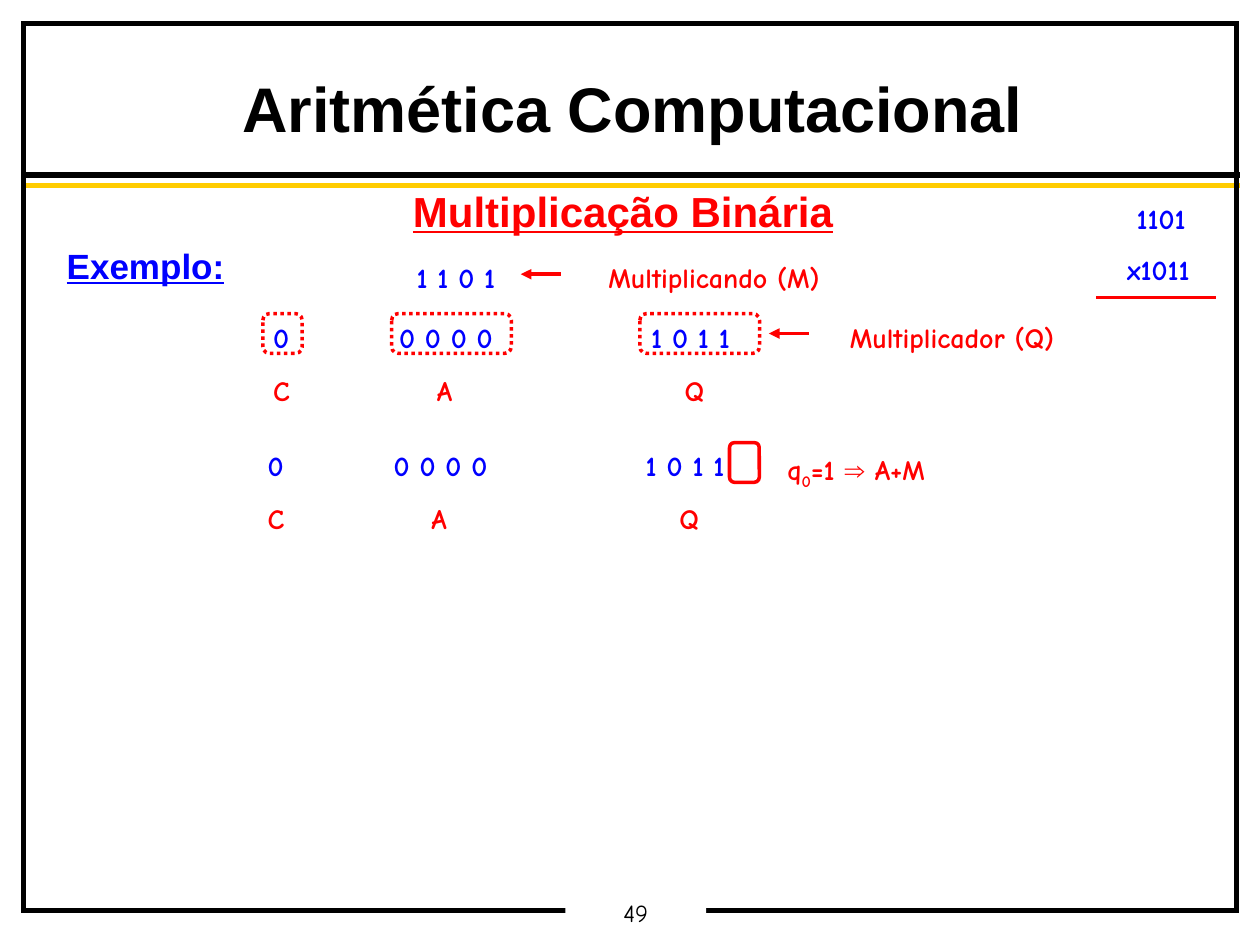
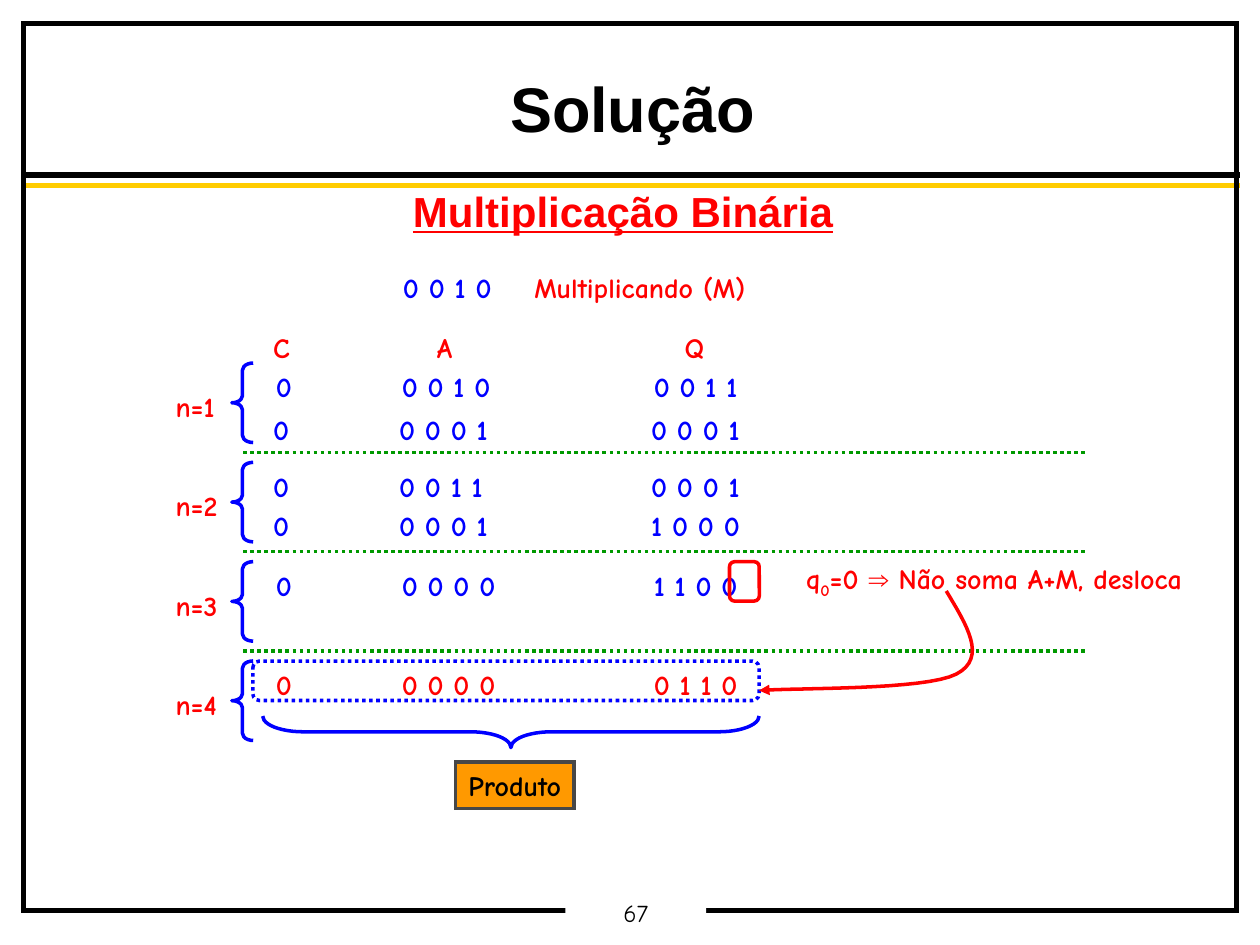
from lxml import etree
from pptx import Presentation
from pptx import util as u
from pptx.dml.color import RGBColor
from pptx.enum import dml, shapes, text
from pptx.oxml.ns import qn

COLORS = {"ink": "000000", "gold": "FFCC00", "red": "FF0000", "blue": "0000FF",
          "green": "009900", "orange": "FF9900", "gray": "474747", "paper": "FFFFFF"}
HAND, SANS = "Comic Neue", "Arial"
LABEL = {"name": HAND, "size": u.Pt(16), "bold": True}
STEP_PITCH = 56.75
REGISTER_NAMES = (("C", 0, 24), ("A", 93.6, 23), ("Q", 235.2, 25))


def rgb(color):
    return RGBColor.from_string(COLORS[color])


def apply(target, values):
    for name, value in values.items():
        setattr(target, name, value)


def place(box, left, top, width, height):
    apply(box, {"left": u.Pt(left), "top": u.Pt(top),
                "width": u.Pt(width), "height": u.Pt(height)})


def add_span(para, words, color, style):
    span = para.add_run()
    span.text = words
    apply(span.font, style)
    span.font.color.rgb = rgb(color)
    return span


def style_line(item, color, width=2, dotted=False, arrow=False, sharp=False):
    item.line.color.rgb = rgb(color)
    item.line.width = u.Pt(width)
    if dotted:
        item.line.dash_style = dml.MSO_LINE.ROUND_DOT
    if sharp:
        etree.SubElement(item.line._get_or_add_ln(), qn("a:miter"), lim="800000")
    if arrow:
        etree.SubElement(item.line._get_or_add_ln(), qn("a:tailEnd"), type="triangle")


def add_line(page, start, end, color, **line):
    points = [u.Pt(value) for value in (*start, *end)]
    connector = page.shapes.add_connector(shapes.MSO_CONNECTOR.STRAIGHT, *points)
    style_line(connector, color, **line)
    etree.SubElement(connector._element.spPr, qn("a:effectLst"))


def add_outline(page, kind, bounds, color=None, fill=None, adjust=None, **line):
    shape = page.shapes.add_shape(kind, *[u.Pt(value) for value in bounds])
    shape.shadow.inherit = False
    if fill:
        shape.fill.solid()
        shape.fill.fore_color.rgb = rgb(fill)
    else:
        shape.fill.background()
    if color:
        style_line(shape, color, **line)
    else:
        shape.line.fill.background()
    if adjust is not None:
        shape.adjustments[0] = adjust
    return shape


def add_rounded(page, bounds, color, dotted=False):
    add_outline(page, shapes.MSO_SHAPE.ROUNDED_RECTANGLE, bounds, color,
                adjust=0.167, dotted=dotted)


def add_box(page, left, top, width, height=26.6):
    box = page.shapes.add_textbox(u.Pt(left), u.Pt(top), u.Pt(width), u.Pt(height))
    apply(box.text_frame, {"word_wrap": True, "auto_size": text.MSO_AUTO_SIZE.NONE})
    return box.text_frame


def add_label(page, left, top, width, words, color="red"):
    """Write one line, with a little spare width to keep it whole."""
    para = add_box(page, left, top, width + 8).paragraphs[0]
    add_span(para, words, color, LABEL)
    return para


def add_register_row(page, left, top, c, a, q, color="blue"):
    """Write the C, A and Q values on tab stops one inch apart."""
    para = add_label(page, left, top, 292, f"{c}\t{a}\t\t{q}", color)
    stops = etree.SubElement(para._p.get_or_add_pPr(), qn("a:tabLst"))
    for inch in range(1, 4):
        etree.SubElement(stops, qn("a:tab"), pos=str(u.Pt(72 * inch)), algn="l")


def add_register_names(page, left, top):
    for name, offset, width in REGISTER_NAMES:
        add_label(page, left + offset, top, width, name)


def add_condition(page, left, top, width, q0, action):
    para = add_box(page, left, top, width + 8, 29.5).paragraphs[0]
    add_span(para, "q", "red", LABEL)
    subscript = add_span(para, "0", "red", LABEL)
    subscript._r.get_or_add_rPr().set("baseline", "-25000")
    add_span(para, f"={q0} ", "red", LABEL)
    add_span(para, "⇒", "red", LABEL | {"name": SANS})
    add_span(para, f" {action}", "red", LABEL)


def bezier(p0, p1, p2, p3, steps=16):
    """Return the points after p0 along a cubic curve."""
    points = []
    for step in range(1, steps + 1):
        t = step / steps
        weights = ((1 - t) ** 3, 3 * t * (1 - t) ** 2, 3 * t * t * (1 - t), t ** 3)
        points.append(tuple(sum(w * p[axis] for w, p in zip(weights, (p0, p1, p2, p3)))
                            for axis in (0, 1)))
    return points


def add_curved_arrow(page, nodes, color):
    points = [nodes[0]]
    for first in range(0, len(nodes) - 1, 3):
        points += bezier(*nodes[first:first + 4])
    points = [(u.Pt(x), u.Pt(y)) for x, y in points]
    builder = page.shapes.build_freeform(*points[0])
    builder.add_line_segments(points[1:], close=False)
    curve = builder.convert_to_shape()
    curve.shadow.inherit = False
    curve.fill.background()
    style_line(curve, color, arrow=True)


def add_brace(page, bounds, adjust, rotation=0):
    brace = add_outline(page, shapes.MSO_SHAPE.LEFT_BRACE, bounds, "blue", adjust=adjust)
    brace.rotation = rotation


def add_frame(page, number):
    """Draw the rules, the border and the page number."""
    add_line(page, (14.4, 100), (708.5, 100), "ink", width=3)
    add_line(page, (14.4, 105.8), (708.5, 105.8), "gold", width=3)
    add_outline(page, shapes.MSO_SHAPE.RECTANGLE, (13.5, 13.5, 693.2, 506.8), "ink",
                width=3, sharp=True)
    badge = add_outline(page, shapes.MSO_SHAPE.RECTANGLE, (323, 513, 80.6, 19.5), fill="paper")
    apply(badge.text_frame, {"margin_top": u.Pt(2), "margin_bottom": u.Pt(2),
                             "word_wrap": False})
    para = badge.text_frame.paragraphs[0]
    apply(para, {"alignment": text.PP_ALIGN.CENTER, "line_spacing": 0.9})
    add_span(para, str(number), "ink", {"name": HAND, "size": u.Pt(14)})


def add_heading(page, example=None):
    frame = add_box(page, 31, 105.8, 650, 369)
    style = {"name": SANS, "size": u.Pt(24), "bold": True, "underline": True}
    para = frame.paragraphs[0]
    apply(para, {"alignment": text.PP_ALIGN.CENTER, "line_spacing": 0.9})
    add_span(para, "Multiplicação Binária", "red", style)
    if example:
        para = frame.add_paragraph()
        apply(para, {"line_spacing": 0.9, "space_before": u.Pt(7)})
        add_span(para, example, "blue", style | {"size": u.Pt(20)})


def new_page(deck, title, number, example=None):
    page = deck.slides.add_slide(deck.slide_layouts[5])
    place(page.shapes.title, 14.2, 41, 694.6, 45.4)
    frame = page.shapes.title.text_frame
    apply(frame, {"margin_top": u.Pt(2), "margin_bottom": u.Pt(2), "word_wrap": True,
                  "auto_size": text.MSO_AUTO_SIZE.NONE,
                  "vertical_anchor": text.MSO_ANCHOR.TOP})
    para = frame.paragraphs[0]
    apply(para, {"alignment": text.PP_ALIGN.CENTER, "line_spacing": 0.95})
    add_span(para, title, "ink", {"name": SANS, "size": u.Pt(36), "bold": True})
    add_frame(page, number)
    add_heading(page, example)
    return page


def add_written_product(page):
    """Write the multiplication by hand in the corner."""
    frame = add_box(page, 637, 111.6, 58, 55.4)
    first, second = frame.paragraphs[0], frame.add_paragraph()
    first._p.get_or_add_pPr().set("marL", str(u.Pt(5.5)))
    second.space_before = u.Pt(10)
    add_span(first, "1101", "blue", LABEL)
    add_span(second, "x1011", "blue", LABEL)
    add_line(page, (626.5, 170), (695, 170), "red")


def build_example(deck):
    page = new_page(deck, "Aritmética Computacional", 49, "Exemplo:")
    add_written_product(page)
    add_label(page, 231, 145.5, 59, "1 1 0 1", "blue")
    add_label(page, 340.6, 145.5, 134.6, "Multiplicando (M)")
    add_label(page, 478.6, 179.6, 131, "Multiplicador (Q)")
    for left, y in ((297.6, 156.7), (439.4, 190.6)):
        add_line(page, (left + 22.7, y), (left, y), "red", arrow=True)
    for left, top, names_top in ((149, 179.6, 209.8), (145.9, 253, 283.3)):
        add_register_row(page, left, top, "0", "0 0 0 0", "1 0 1 1")
        add_register_names(page, left, names_top)
    for left, width in ((150.2, 22.5), (223.8, 68.4), (365.6, 68.4)):
        add_rounded(page, (left, 179.2, width, 22.7), "red", dotted=True)
    add_rounded(page, (416.9, 252.9, 17, 22.7), "red")
    add_condition(page, 442.8, 254.9, 94.3, 1, "A+M")


def build_solution(deck):
    page = new_page(deck, "Solução", 67)
    add_label(page, 223.2, 151.2, 64.8, "0 0 1 0", "blue")
    add_label(page, 298.2, 151.2, 134.6, "Multiplicando (M)")
    add_register_names(page, 149, 185.3)
    rows = ((150.5, 207.6, "0 0 1 0", "0 0 1 1", "blue"),
            (149, 232.2, "0 0 0 1", "0 0 0 1", "blue"),
            (149, 264.5, "0 0 1 1", "0 0 0 1", "blue"),
            (149, 287, "0 0 0 1", "1 0 0 0", "blue"),
            (150.5, 321.3, "0 0 0 0", "1 1 0 0", "blue"),
            (150.5, 378, "0 0 0 0", "0 1 1 0", "red"))
    for left, top, a, q, color in rows:
        add_register_row(page, left, top, "0", a, q, color)
    for step in range(4):
        top = 207.5 + step * STEP_PITCH
        add_label(page, 93.2, top + 11.5, 38, f"n={step + 1}")
        add_brace(page, (132.5, top, 12.2, 45.4), 0.33)
        if step < 3:
            add_line(page, (139, top + 51), (620.6, top + 51), "green", dotted=True)
    add_rounded(page, (416.9, 321, 17, 22.5), "red")
    add_condition(page, 453.6, 317.5, 230.4, 0, "Não soma A+M, desloca")
    add_rounded(page, (144.5, 377.8, 289.3, 22.5), "blue", dotted=True)
    add_curved_arrow(page, ((540.7, 337.7), (552.2, 357), (564.5, 375.8), (546.5, 385.2),
                            (528.5, 394.6), (453, 393), (433.7, 394.6)), "red")
    add_brace(page, (283, 276.3, 18, 283.7), 1.28, rotation=270)
    product = add_outline(page, shapes.MSO_SHAPE.RECTANGLE, (260.3, 435.5, 67.7, 26.6),
                          "gray", fill="orange", sharp=True)
    product.text_frame.word_wrap = False
    para = product.text_frame.paragraphs[0]
    para.alignment = text.PP_ALIGN.CENTER
    add_span(para, "Produto", "ink", LABEL)


def main():
    deck = Presentation()
    deck.slide_width, deck.slide_height = u.Pt(720), u.Pt(540)
    build_example(deck)
    build_solution(deck)
    deck.save("out.pptx")


if __name__ == "__main__":
    main()
